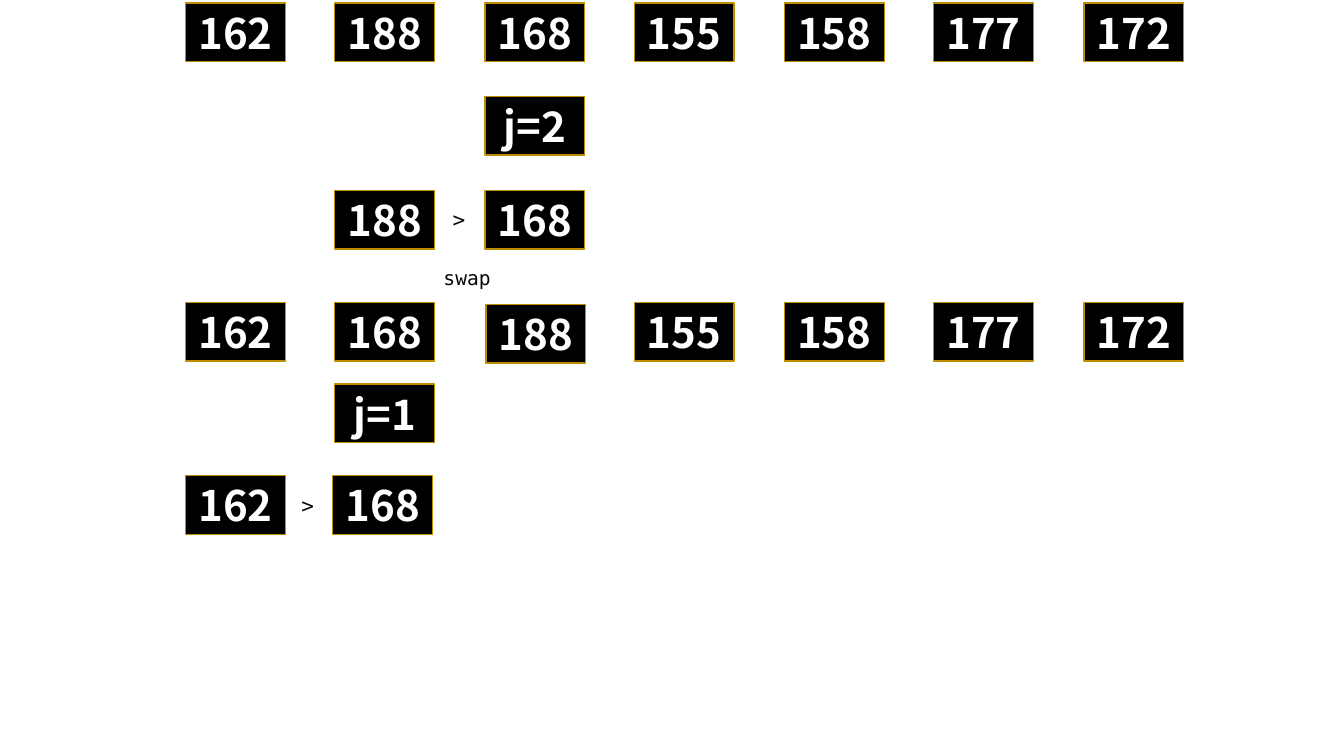
"""Draw two steps of an insertion sort as rows of number boxes."""
from dataclasses import dataclass

from pptx import Presentation
from pptx.dml.color import RGBColor
from pptx.enum.shapes import MSO_SHAPE
from pptx.enum.text import MSO_ANCHOR, MSO_AUTO_SIZE, PP_ALIGN
from pptx.shapes.shapetree import SlideShapes
from pptx.util import Pt

RECT = MSO_SHAPE.RECTANGLE
MIDDLE = MSO_ANCHOR.MIDDLE
GROW = MSO_AUTO_SIZE.SHAPE_TO_FIT_TEXT
CENTER = PP_ALIGN.CENTER
LEFT = PP_ALIGN.LEFT

BLACK = RGBColor(0x00, 0x00, 0x00)
WHITE = RGBColor(0xFF, 0xFF, 0xFF)
GOLD = RGBColor(0xBD, 0x8E, 0x00)
INK = RGBColor(0x08, 0x08, 0x08)

SANS = "Noto Sans CJK KR"
MONO = "DejaVu Sans Mono"
PX = 9144
BOX_W, BOX_H = 99, 58
FIRST, LAST, GAPS = 184, 1075, 6


@dataclass
class Box:
    """A number box in a column, with an optional nudge."""
    col: int
    top: int
    text: str
    dx: int = 0
    dy: int = 0


@dataclass
class Note:
    """A plain label between boxes."""
    left: int
    top: int
    width: int
    height: int
    text: str
    size: int


START = ("162", "188", "168", "155", "158", "177", "172")
BOXES = [Box(col, 3, text) for col, text in enumerate(START)] + [
    Box(2, 96, "j=2"),
    Box(1, 189, "188"),
    Box(2, 189, "168"),
    Box(0, 300, "162"),
    Box(1, 300, "168"),
    Box(2, 300, "188", 1, 2),
] + [Box(col, 300, START[col]) for col in range(3, 7)] + [
    Box(1, 381, "j=1"),
    Box(0, 472, "162"),
    Box(1, 472, "168", -2),
]
NOTES = [
    Note(439, 200, 35, 35, ">", 15),
    Note(430, 258, 89, 34, "swap", 14),
    Note(289, 484, 35, 35, ">", 15),
]


def draw_box(shapes: SlideShapes, box: Box) -> None:
    """Draw one black box with a gold edge."""
    left = FIRST + (LAST - FIRST) * box.col // GAPS + box.dx
    shape = shapes.add_shape(RECT, left * PX, (box.top + box.dy) * PX,
                             BOX_W * PX, BOX_H * PX)
    shape.shadow.inherit = False
    shape.fill.solid()
    shape.fill.fore_color.rgb = BLACK
    shape.line.color.rgb = GOLD
    shape.line.width = Pt(1)
    frame = shape.text_frame
    frame.vertical_anchor = MIDDLE
    para = frame.paragraphs[0]
    para.text = box.text
    para.alignment = CENTER
    para.font.name = SANS
    para.font.size = Pt(30)
    para.font.bold = True
    para.font.color.rgb = WHITE


def draw_note(shapes: SlideShapes, note: Note) -> None:
    """Draw one label on white."""
    shape = shapes.add_textbox(note.left * PX, note.top * PX,
                               note.width * PX, note.height * PX)
    shape.fill.solid()
    shape.fill.fore_color.rgb = WHITE
    frame = shape.text_frame
    frame.word_wrap = True
    frame.auto_size = GROW
    frame.vertical_anchor = MIDDLE
    para = frame.paragraphs[0]
    para.text = note.text
    para.alignment = LEFT
    para.font.name = MONO
    para.font.size = Pt(note.size)
    para.font.color.rgb = INK


def main() -> None:
    """Build the slide and save it."""
    deck = Presentation()
    deck.slide_width = 1333 * PX
    deck.slide_height = 750 * PX
    slide = deck.slides.add_slide(deck.slide_layouts[6])
    for note in NOTES:
        draw_note(slide.shapes, note)
    for box in BOXES:
        draw_box(slide.shapes, box)
    deck.save("out.pptx")


if __name__ == "__main__":
    main()
